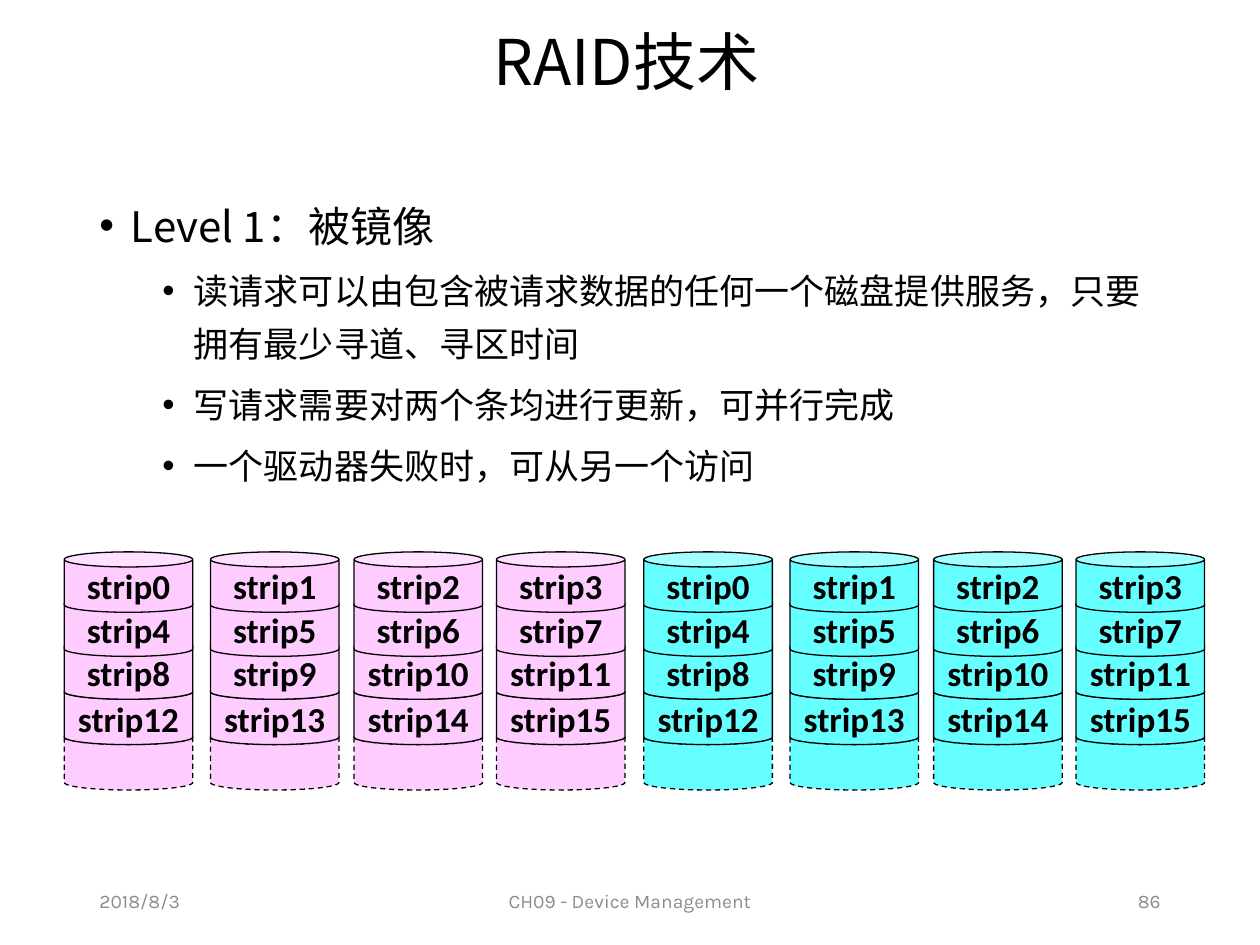
from lxml import etree
from pptx import Presentation
from pptx import util as u
from pptx.dml.color import RGBColor
from pptx.enum import dml, shapes, text
from pptx.oxml.ns import qn

CENTER, LEFT, RIGHT = text.PP_ALIGN.CENTER, text.PP_ALIGN.LEFT, text.PP_ALIGN.RIGHT


def color(hex_value):
    return RGBColor.from_string(hex_value)


class RaidSlide:
    body_font = "Noto Sans CJK SC"
    strip_font = "Calibri"
    footer_font = "Karla"
    ink = "000000"
    gray = "8C8C8C"

    def __init__(self, slide):
        self.slide = slide

    def style(self, paragraph, font, size, hex_value, align, bold=False):
        paragraph.alignment = align
        paragraph.font.name = font
        paragraph.font.size = u.Pt(size)
        paragraph.font.bold = bold
        paragraph.font.color.rgb = color(hex_value)
        # East Asian characters take their font from the runs
        for run in paragraph.runs:
            etree.SubElement(run.font._element, qn("a:ea"), typeface=font)

    def frame(self, left, top, width, height, anchor=text.MSO_ANCHOR.MIDDLE):
        box = self.slide.shapes.add_textbox(
            u.Inches(left), u.Inches(top), u.Inches(width), u.Inches(height))
        box.text_frame.word_wrap = True
        box.text_frame.vertical_anchor = anchor
        return box.text_frame

    def title(self, words):
        paragraph = self.frame(0.66, 0.14, 8.62, 0.76).paragraphs[0]
        paragraph.text = words
        paragraph.line_spacing = 0.9
        self.style(paragraph, self.body_font, 36, self.ink, CENTER)

    def bullets(self, items):
        frame = self.frame(0.69, 1.44, 8.62, 5.38, text.MSO_ANCHOR.TOP)
        for number, (level, words) in enumerate(items):
            paragraph = frame.add_paragraph() if number else frame.paragraphs[0]
            paragraph.text = words
            paragraph.level = level
            paragraph.line_spacing = 1.25
            paragraph.space_before = u.Pt(5 if level else 10)
            self.style(paragraph, self.body_font, 20 if level else 24, self.ink, LEFT)
            properties = paragraph._p.get_or_add_pPr()
            properties.set("marL", str(u.Inches(0.25 + 0.5 * level)))
            properties.set("indent", str(u.Inches(-0.25)))
            font = etree.Element(qn("a:buFont"), typeface="Arial")
            bullet = etree.Element(qn("a:buChar"), char="•")
            defaults = properties.find(qn("a:defRPr"))
            defaults.addprevious(font)
            defaults.addprevious(bullet)

    def footer(self, left, width, words, align):
        paragraph = self.frame(left, 6.95, width, 0.4).paragraphs[0]
        paragraph.text = words
        self.style(paragraph, self.footer_font, 11, self.gray, align)

    def cylinder(self, disk, left, top, fill, label=None):
        can = disk.shapes.add_shape(
            shapes.MSO_SHAPE.CAN, u.Inches(left), u.Inches(top),
            u.Inches(1.02), u.Inches(0.48))
        can.adjustments[0] = 0.25
        can.shadow.inherit = False
        can.fill.solid()
        can.fill.fore_color.rgb = color(fill)
        can.line.color.rgb = color(self.ink)
        can.line.width = u.Pt(0.75)
        if label is None:
            can.line.dash_style = dml.MSO_LINE.DASH
            return
        can.text_frame.word_wrap = False
        can.text_frame.vertical_anchor = text.MSO_ANCHOR.MIDDLE
        paragraph = can.text_frame.paragraphs[0]
        paragraph.text = label
        self.style(paragraph, self.strip_font, 20, self.ink, CENTER, bold=True)

    def disk(self, left, fill, labels):
        disk = self.slide.shapes.add_group_shape()
        # The open end goes first, so that each strip covers the one below it
        self.cylinder(disk, left, 5.79, fill)
        for top, label in reversed(list(zip((4.38, 4.73, 5.07, 5.43), labels))):
            self.cylinder(disk, left, top, fill, label)


def main():
    deck = Presentation()
    deck.slide_width, deck.slide_height = u.Inches(10), u.Inches(7.5)
    raid = RaidSlide(deck.slides.add_slide(deck.slide_layouts[6]))

    # Title and explanation
    raid.title("RAID技术")
    raid.bullets([
        (0, "Level 1：被镜像"),
        (1, "读请求可以由包含被请求数据的任何一个磁盘提供服务，只要拥有最少寻道、寻区时间"),
        (1, "写请求需要对两个条均进行更新，可并行完成"),
        (1, "一个驱动器失败时，可从另一个访问"),
    ])

    # Footer
    raid.footer(0.69, 2.25, "2018/8/3", LEFT)
    raid.footer(3.31, 3.38, "CH09 - Device Management", CENTER)
    raid.footer(7.06, 2.25, "86", RIGHT)

    # Four data disks and their mirrors
    for array_left, fill in ((0.51, "FFCCFF"), (5.11, "66FFFF")):
        for column, offset in enumerate((0, 1.16, 2.3, 3.43)):
            labels = [f"strip{number}" for number in range(column, 16, 4)]
            raid.disk(array_left + offset, fill, labels)

    deck.save("out.pptx")


if __name__ == "__main__":
    main()
